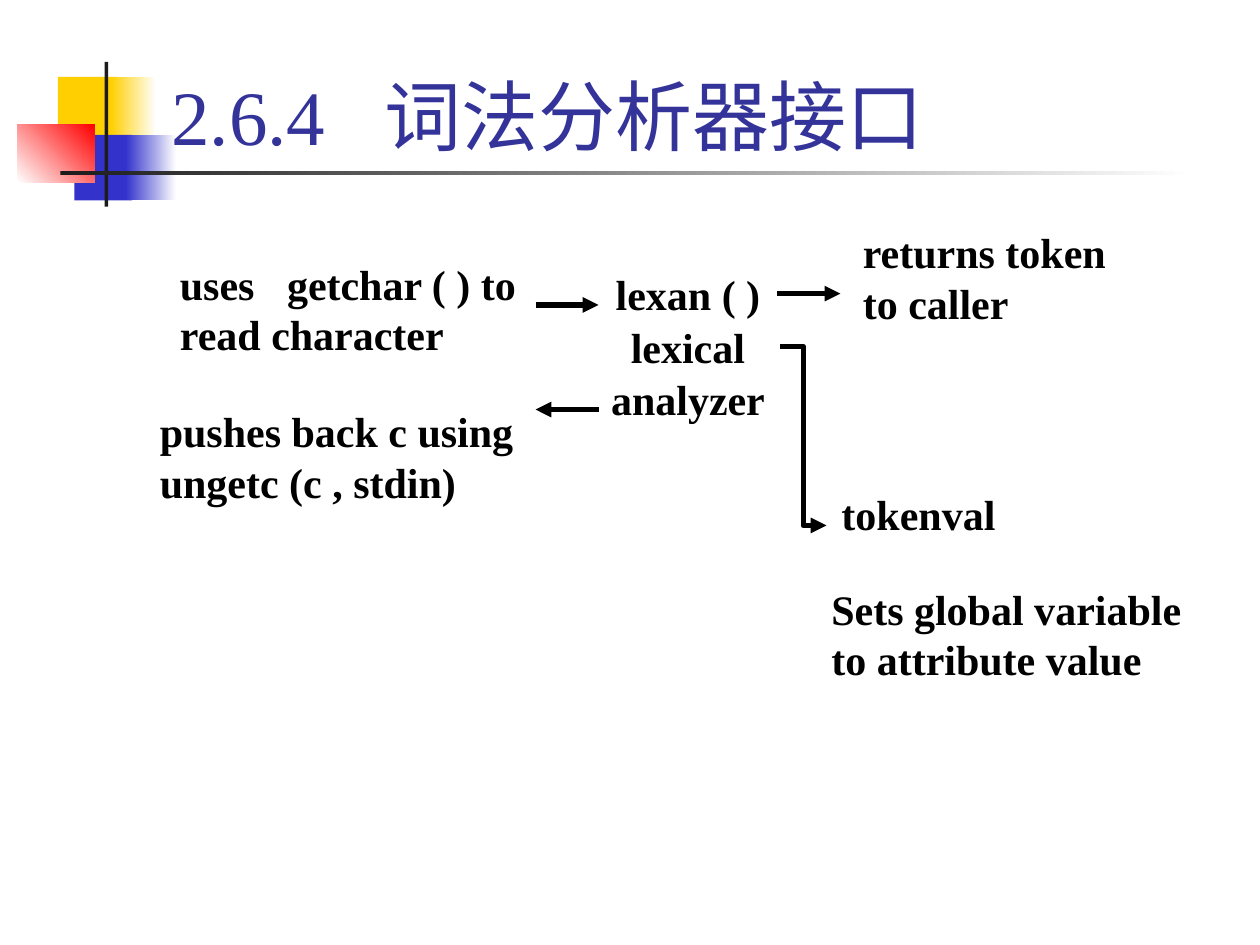
from lxml import etree
from pptx import Presentation
from pptx.dml.color import RGBColor
from pptx.enum.shapes import MSO_CONNECTOR, MSO_SHAPE
from pptx.enum.text import MSO_ANCHOR, MSO_AUTO_SIZE, PP_ALIGN
from pptx.oxml.ns import qn
from pptx.util import Inches, Pt

RECT = MSO_SHAPE.RECTANGLE
LINE, BENT = MSO_CONNECTOR.STRAIGHT, MSO_CONNECTOR.ELBOW
LEFT, MID = PP_ALIGN.LEFT, PP_ALIGN.CENTER
BASE, GROW, FIXED = MSO_ANCHOR.BOTTOM, MSO_AUTO_SIZE.SHAPE_TO_FIT_TEXT, MSO_AUTO_SIZE.NONE

THEME = {
    "font": "Times New Roman", "head": 44, "body": 24, "rule": 3,
    "title": "333399", "ink": "000000", "gold": "FFCF01", "blue": "3333CC",
    "red": "FF0000", "dark": "1C1C1C", "white": "FFFFFF",
}

TITLE = ("2.6.4\t词法分析器接口", (1.26, 0.08, 8.52, 1.25))
DECOR = [
    ((0.46, 0.61, 0.48, 0.52), ["gold"], 0),
    ((0.88, 0.61, 0.36, 0.52), ["gold", "white"], 0),
    ((0.59, 1.07, 0.46, 0.52), ["blue"], 0),
    ((1, 1.07, 0.4, 0.52), ["blue", "white"], 0),
    ((0.14, 0.99, 0.61, 0.46), ["white", "red"], 45),
    ((0.83, 0.49, 0.03, 1.15), ["dark"], 0),
    ((0.48, 1.36, 9, 0.03), ["dark", "white"], 0),
]
NOTES = [
    ("uses\tgetchar ( ) to read character", (1.33, 2, 2.93, 0.91), {"tab": 0.85}),
    ("pushes back c using ungetc (c , stdin)", (1.17, 3.17, 3.03, 0.91), {}),
    ("returns token to caller", (6.75, 1.75, 2.17, 0.91), {}),
    ("tokenval", (6.58, 3.83, 1.92, 0.5), {}),
    ("Sets global variable to attribute value", (6.5, 4.58, 3.03, 0.91), {}),
    ("lexan ( )\nlexical\nanalyzer", (4.67, 2.08, 1.58, 1.41),
     {"align": MID, "gap": 12, "lead": 0.6}),
]
ARROWS = [
    (LINE, (4.25, 2.42, 4.75, 2.42)),
    (LINE, (4.75, 3.25, 4.25, 3.25)),
    (LINE, (6.17, 2.33, 6.67, 2.33)),
    (BENT, (6.19, 2.75, 6.56, 4.17)),
]


def tint(name):
    return RGBColor.from_string(THEME[name])


def write(frame, text, size="body", color="ink", bold=True, align=LEFT,
          tab=None, gap=0, lead=None):
    frame.word_wrap = True
    frame.text = text
    for i, para in enumerate(frame.paragraphs):
        para.alignment = align
        if i:
            para.space_before = Pt(gap)
            para.line_spacing = lead
        if tab:
            stops = etree.SubElement(para._p.get_or_add_pPr(), qn("a:tabLst"))
            etree.SubElement(stops, qn("a:tab"), pos=str(Inches(tab)), algn="l")
        for run in para.runs:
            font = run.font
            font.name, font.size, font.bold = THEME["font"], Pt(THEME[size]), bold
            font.color.rgb = tint(color)


def block(slide, box, names, angle):
    shape = slide.shapes.add_shape(RECT, *map(Inches, box))
    shape.shadow.inherit = False
    shape.line.fill.background()
    fill = shape.fill
    if len(names) == 1:
        fill.solid()
        fill.fore_color.rgb = tint(names[0])
        return
    fill.gradient()
    fill.gradient_angle = angle
    for stop, name, place in zip(fill.gradient_stops, names, (0, 1)):
        stop.color.rgb = tint(name)
        stop.position = place


def arrow(slide, kind, ends):
    link = slide.shapes.add_connector(kind, *map(Inches, ends))
    link.line.width = Pt(THEME["rule"])
    link.line.color.rgb = tint("ink")
    etree.SubElement(link.line._get_or_add_ln(), qn("a:tailEnd"), type="triangle")
    etree.SubElement(link._element.spPr, qn("a:effectLst"))


def main():
    deck = Presentation()
    deck.slide_width, deck.slide_height = Inches(10), Inches(7.5)
    slide = deck.slides.add_slide(deck.slide_layouts[5])

    for item in DECOR:
        block(slide, *item)

    text, box = TITLE
    title = slide.shapes.title
    title.left, title.top, title.width, title.height = map(Inches, box)
    write(title.text_frame, text, size="head", color="title", bold=False, tab=1.69)
    title.text_frame.vertical_anchor = BASE
    title.text_frame.auto_size = FIXED
    title.element.getparent().append(title.element)

    for text, box, form in NOTES:
        frame = slide.shapes.add_textbox(*map(Inches, box)).text_frame
        write(frame, text, **form)
        frame.auto_size = GROW

    for kind, ends in ARROWS:
        arrow(slide, kind, ends)

    deck.save("out.pptx")


if __name__ == "__main__":
    main()
